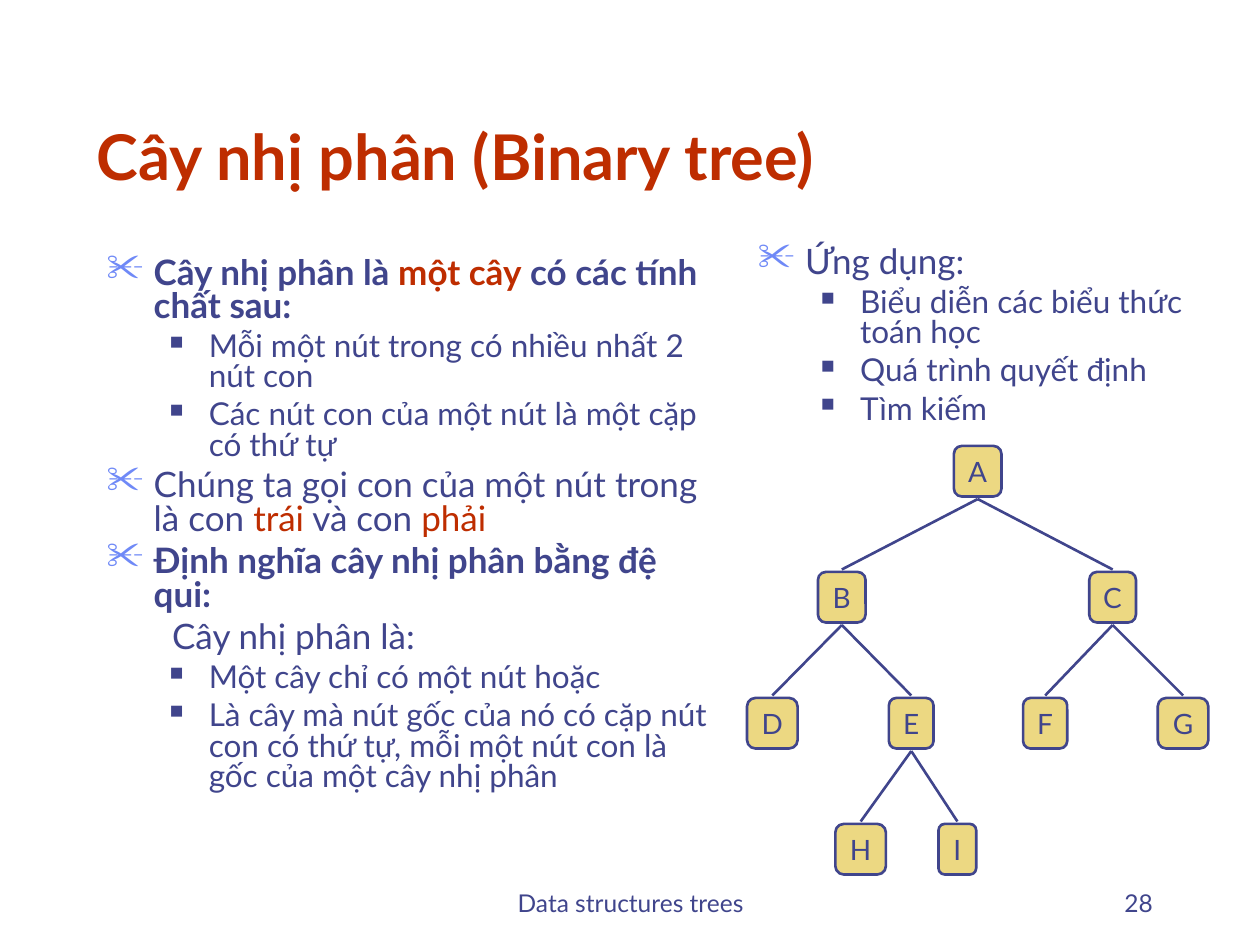
from lxml import etree
from pptx import Presentation
from pptx import util as u
from pptx.dml import color
from pptx.enum import shapes, text
from pptx.oxml import ns

INK, ACCENT, BULLET, NODE = "40458C", "BE2D00", "6F89F7", "ECD882"
LEVELS = {
    "point": dict(size=20, left=0.95, hang=-0.95, before=5, level=0, mark=("✂", BULLET, 110)),
    "detail": dict(size=18, left=2.06, hang=-0.79, before=4.5, level=1, mark=("■", INK, 60)),
    "lead": dict(size=20, left=1.32, hang=0, before=5, level=0, mark=None),
}


def rgb(value):
    return color.RGBColor.from_string(value)


def apply(target, values):
    for name, value in values.items():
        setattr(target, name, value)


def add_run(paragraph, wording, size, ink=INK, bold=False):
    run = paragraph.add_run()
    run.text = wording
    apply(run.font, dict(name="Lato", size=u.Pt(size), bold=bold))
    run.font.color.rgb = rgb(ink)


def add_frame(slide, box, anchor=text.MSO_ANCHOR.TOP):
    frame = slide.shapes.add_textbox(*map(u.Cm, box)).text_frame
    apply(frame, dict(word_wrap=True, vertical_anchor=anchor))
    return frame


def add_label(slide, box, wording, size, align, ink=INK, bold=False):
    paragraph = add_frame(slide, box, text.MSO_ANCHOR.BOTTOM).paragraphs[0]
    paragraph.alignment = align
    add_run(paragraph, wording, size, ink, bold)


def format_outline(paragraph, style):
    apply(paragraph, dict(level=style["level"], line_spacing=0.8,
                          space_before=u.Pt(style["before"])))
    properties = paragraph._p.get_or_add_pPr()
    properties.set("marL", str(u.Cm(style["left"])))
    properties.set("indent", str(u.Cm(style["hang"])))
    if style["mark"]:
        char, ink, percent = style["mark"]
        tint = etree.SubElement(properties, ns.qn("a:buClr"))
        etree.SubElement(tint, ns.qn("a:srgbClr"), val=ink)
        etree.SubElement(properties, ns.qn("a:buSzPct"), val=str(percent * 1000))
        etree.SubElement(properties, ns.qn("a:buChar"), char=char)


def add_outline(slide, box, entries):
    frame = add_frame(slide, box)
    for index, (kind, bold, *parts) in enumerate(entries):
        paragraph = frame.add_paragraph() if index else frame.paragraphs[0]
        style = LEVELS[kind]
        format_outline(paragraph, style)
        for position, part in enumerate(parts):
            add_run(paragraph, part, style["size"], ACCENT if position % 2 else INK, bold)


def add_node(slide, center, top, width, height, letter):
    node = slide.shapes.add_shape(shapes.MSO_SHAPE.ROUNDED_RECTANGLE,
                                  *map(u.Cm, (center - width / 2, top, width, height)))
    node.shadow.inherit = False
    node.fill.solid()
    node.fill.fore_color.rgb = rgb(NODE)
    node.line.color.rgb = rgb(INK)
    node.line.width = u.Pt(1.5)
    apply(node.text_frame, dict(word_wrap=False, vertical_anchor=text.MSO_ANCHOR.MIDDLE))
    paragraph = node.text_frame.paragraphs[0]
    paragraph.alignment = text.PP_ALIGN.CENTER
    add_run(paragraph, letter, 16)


def add_edge(slide, start, end):
    edge = slide.shapes.add_connector(shapes.MSO_CONNECTOR.STRAIGHT, *map(u.Cm, start + end))
    edge.line.color.rgb = rgb(INK)
    edge.line.width = u.Pt(1.5)
    etree.SubElement(edge._element.spPr, ns.qn("a:effectLst"))


def add_tree(slide, box, nodes):
    left, top, _, height = box
    node_height, gap = 1.02, 0.05
    step = (height - node_height) / max(depth for depth, *_ in nodes.values())
    places = {letter: (left + center, top + depth * step)
              for letter, (depth, center, _, _) in nodes.items()}
    for letter, (_, _, width, parent) in nodes.items():
        center, node_top = places[letter]
        add_node(slide, center, node_top, width, node_height, letter)
        if parent:
            parent_center, parent_top = places[parent]
            add_edge(slide, (parent_center, parent_top + node_height + gap),
                     (center, node_top - gap))


def main():
    deck = Presentation()
    apply(deck, dict(slide_width=u.Cm(25.4), slide_height=u.Cm(19.05)))
    slide = deck.slides.add_slide(deck.slide_layouts[6])
    align = text.PP_ALIGN
    add_label(slide, (8.69, 17.35, 8.05, 1.27), "Data structures trees", 14, align.CENTER)
    add_label(slide, (18.21, 17.35, 5.28, 1.27), "28", 14, align.RIGHT)
    add_label(slide, (1.7, 0.84, 21.59, 3.18), "Cây nhị phân (Binary tree)", 36,
              align.LEFT, ACCENT, True)
    add_outline(slide, (1.9, 5.08, 12.9, 11.86), [
        ("point", True, "Cây nhị phân là ", "một cây", " có các tính chất sau:"),
        ("detail", False, "Mỗi một nút trong có nhiều nhất 2 nút con"),
        ("detail", False, "Các nút con của một nút là một cặp có thứ tự"),
        ("point", False, "Chúng ta gọi con của một nút trong là con ", "trái",
         " và con ", "phải"),
        ("point", True, "Định nghĩa cây nhị phân bằng đệ qui:"),
        ("lead", False, "Cây nhị phân là:"),
        ("detail", False, "Một cây chỉ có một nút hoặc"),
        ("detail", False, "Là cây mà nút gốc của nó có cặp nút con có thứ tự, "
                          "mỗi một nút con là gốc của một cây nhị phân"),
    ])
    add_outline(slide, (15.03, 4.87, 9.1, 4.24), [
        ("point", False, "Ứng dụng:"),
        ("detail", False, "Biểu diễn các biểu thức toán học"),
        ("detail", False, "Quá trình quyết định"),
        ("detail", False, "Tìm kiếm"),
    ])
    add_tree(slide, (15.06, 8.99, 9.3, 8.64), {
        "A": (0, 4.65, 0.96, None),
        "B": (1, 1.91, 0.96, "A"),
        "C": (1, 7.37, 0.94, "A"),
        "D": (2, 0.51, 1.02, "B"),
        "E": (2, 3.31, 0.9, "B"),
        "F": (2, 6.01, 0.89, "C"),
        "G": (2, 8.79, 1.02, "C"),
        "H": (3, 2.29, 1.02, "E"),
        "I": (3, 4.24, 0.76, "E"),
    })
    deck.save("out.pptx")


if __name__ == "__main__":
    main()
